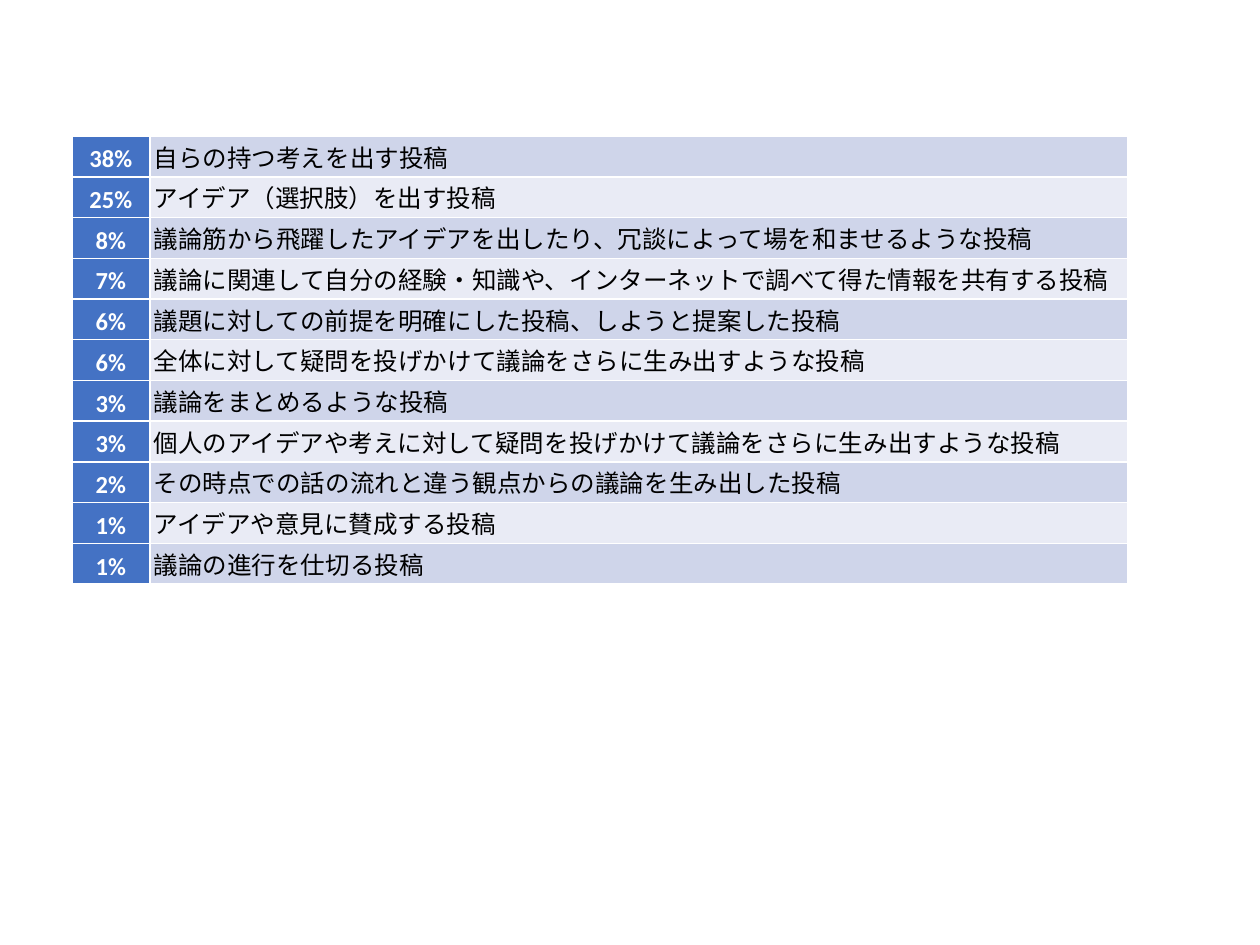
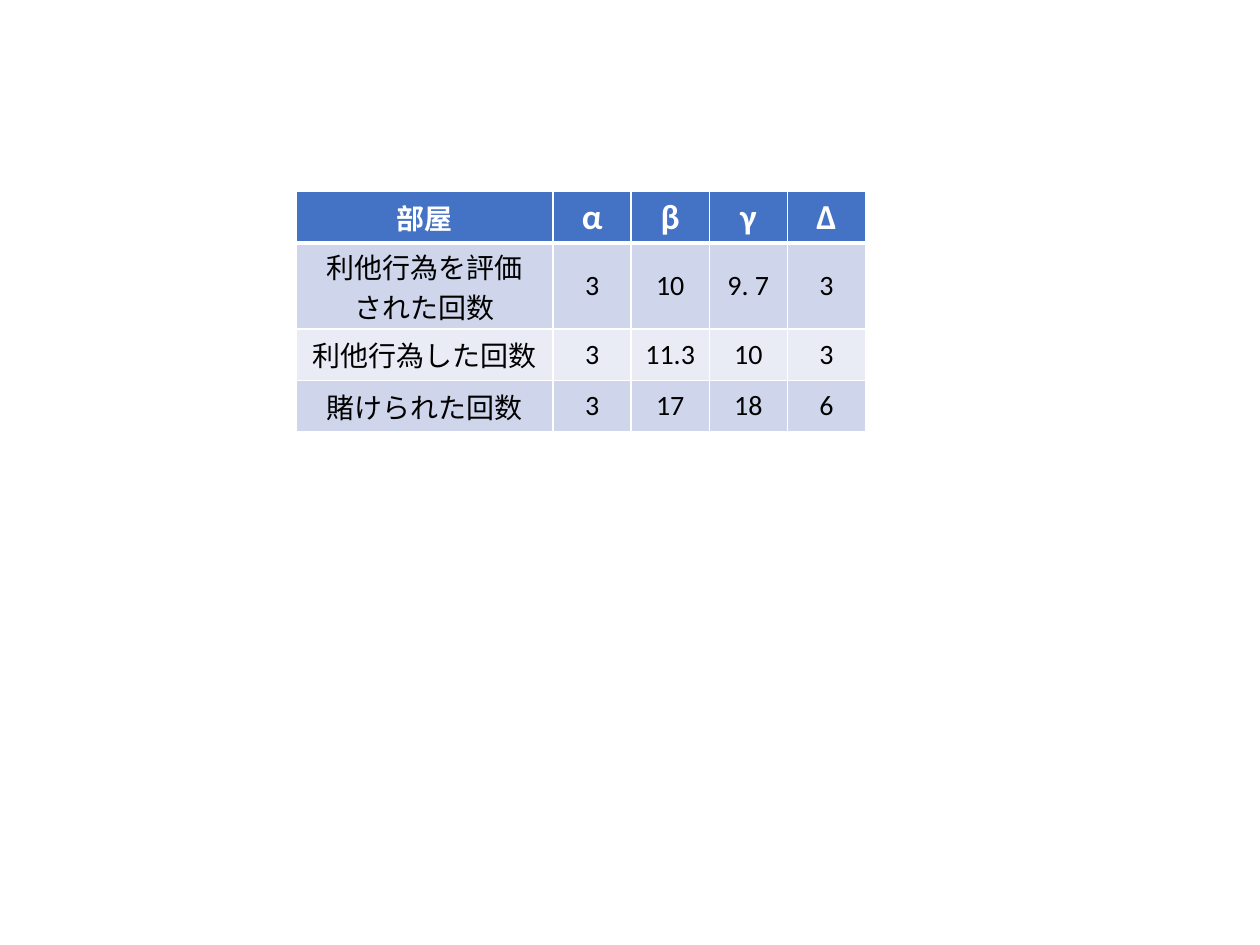
from lxml import etree
from pptx import Presentation
from pptx.dml.color import RGBColor
from pptx.enum.text import MSO_ANCHOR, PP_ALIGN
from pptx.oxml.ns import qn
from pptx.util import Inches, Pt

LEFT, CENTER = PP_ALIGN.LEFT, PP_ALIGN.CENTER
BOTTOM, MIDDLE = MSO_ANCHOR.BOTTOM, MSO_ANCHOR.MIDDLE
BLANK_LAYOUT = 6

FONT = "Calibri"
COLORS = {
    "header": "4472C4",
    "band_dark": "CFD5EA",
    "band_light": "E9EBF5",
    "border": "FFFFFF",
    "header_text": "FFFFFF",
    "body_text": "000000",
}
CELL_MARGINS = {
    "margin_left": Inches(0.03),
    "margin_right": Inches(0.03),
    "margin_top": Inches(0.02),
    "margin_bottom": Inches(0.02),
}

POST_SHARES = [
    ("38%", "自らの持つ考えを出す投稿"),
    ("25%", "アイデア（選択肢）を出す投稿"),
    ("8%", "議論筋から飛躍したアイデアを出したり、冗談によって場を和ませるような投稿"),
    ("7%", "議論に関連して自分の経験・知識や、インターネットで調べて得た情報を共有する投稿"),
    ("6%", "議題に対しての前提を明確にした投稿、しようと提案した投稿"),
    ("6%", "全体に対して疑問を投げかけて議論をさらに生み出すような投稿"),
    ("3%", "議論をまとめるような投稿"),
    ("3%", "個人のアイデアや考えに対して疑問を投げかけて議論をさらに生み出すような投稿"),
    ("2%", "その時点での話の流れと違う観点からの議論を生み出した投稿"),
    ("1%", "アイデアや意見に賛成する投稿"),
    ("1%", "議論の進行を仕切る投稿"),
]
ROOM_COUNTS = [
    ("部屋", "α", "β", "γ", "Δ"),
    ("利他行為を評価\nされた回数", "3", "10", "9. 7", "3"),
    ("利他行為した回数", "3", "11.3", "10", "3"),
    ("賭けられた回数", "3", "17", "18", "6"),
]


def set_attributes(target, values):
    for name, value in values.items():
        setattr(target, name, value)


def set_borders(cell, bottom_width):
    """Draw the four cell borders; they precede the fill in the XML."""
    properties = cell._tc.get_or_add_tcPr()
    widths = {"lnL": 1, "lnR": 1, "lnT": 1, "lnB": bottom_width}
    for index, (tag, width) in enumerate(widths.items()):
        line = etree.Element(qn(f"a:{tag}"), w=str(Pt(width)))
        fill = etree.SubElement(line, qn("a:solidFill"))
        etree.SubElement(fill, qn("a:srgbClr"), val=COLORS["border"])
        properties.insert(index, line)


def fill_cell(cell, text, fill, color, size, bold, alignment, anchor, bottom_width=1):
    cell.fill.solid()
    cell.fill.fore_color.rgb = RGBColor.from_string(COLORS[fill])
    set_borders(cell, bottom_width)
    set_attributes(cell, {**CELL_MARGINS, "vertical_anchor": anchor})
    cell.text_frame.text = text
    for paragraph in cell.text_frame.paragraphs:
        paragraph.alignment = alignment
        for run in paragraph.runs:
            set_attributes(run.font, {"name": FONT, "size": Pt(size), "bold": bold})
            run.font.color.rgb = RGBColor.from_string(COLORS[color])


def add_table(slide, left, top, column_widths, row_height, row_count):
    frame = slide.shapes.add_table(
        row_count, len(column_widths), Inches(left), Inches(top),
        Inches(sum(column_widths)), Inches(row_height * row_count))
    table = frame.table
    for column, width in zip(table.columns, column_widths):
        column.width = Inches(width)
    for row in table.rows:
        row.height = Inches(row_height)
    return table


def band_fill(index):
    return "band_light" if index % 2 else "band_dark"


def add_post_shares(slide):
    table = add_table(slide, 0.57, 1.08, [0.62, 7.76], 0.27, len(POST_SHARES))
    set_attributes(table, {"first_row": False, "first_col": True})
    for index, (share, description) in enumerate(POST_SHARES):
        fill_cell(table.cell(index, 0), share, "header", "header_text",
                  14, True, CENTER, BOTTOM)
        fill_cell(table.cell(index, 1), description, band_fill(index), "body_text",
                  14, False, LEFT, BOTTOM)


def add_room_counts(slide):
    table = add_table(slide, 2.35, 1.52, [2.04] + [0.62] * 4, 0.41, len(ROOM_COUNTS))
    header, *body = ROOM_COUNTS
    for column, text in enumerate(header):
        fill_cell(table.cell(0, column), text, "header", "header_text",
                  20 if column else 16, True, CENTER, MIDDLE, bottom_width=3)
    for index, values in enumerate(body):
        for column, text in enumerate(values):
            fill_cell(table.cell(index + 1, column), text, band_fill(index),
                      "body_text", 16, False, CENTER, MIDDLE)


def main():
    presentation = Presentation()
    set_attributes(presentation, {"slide_width": Inches(10), "slide_height": Inches(7.5)})
    for add_content in (add_post_shares, add_room_counts):
        slide = presentation.slides.add_slide(presentation.slide_layouts[BLANK_LAYOUT])
        add_content(slide)
    presentation.save("out.pptx")


if __name__ == "__main__":
    main()
